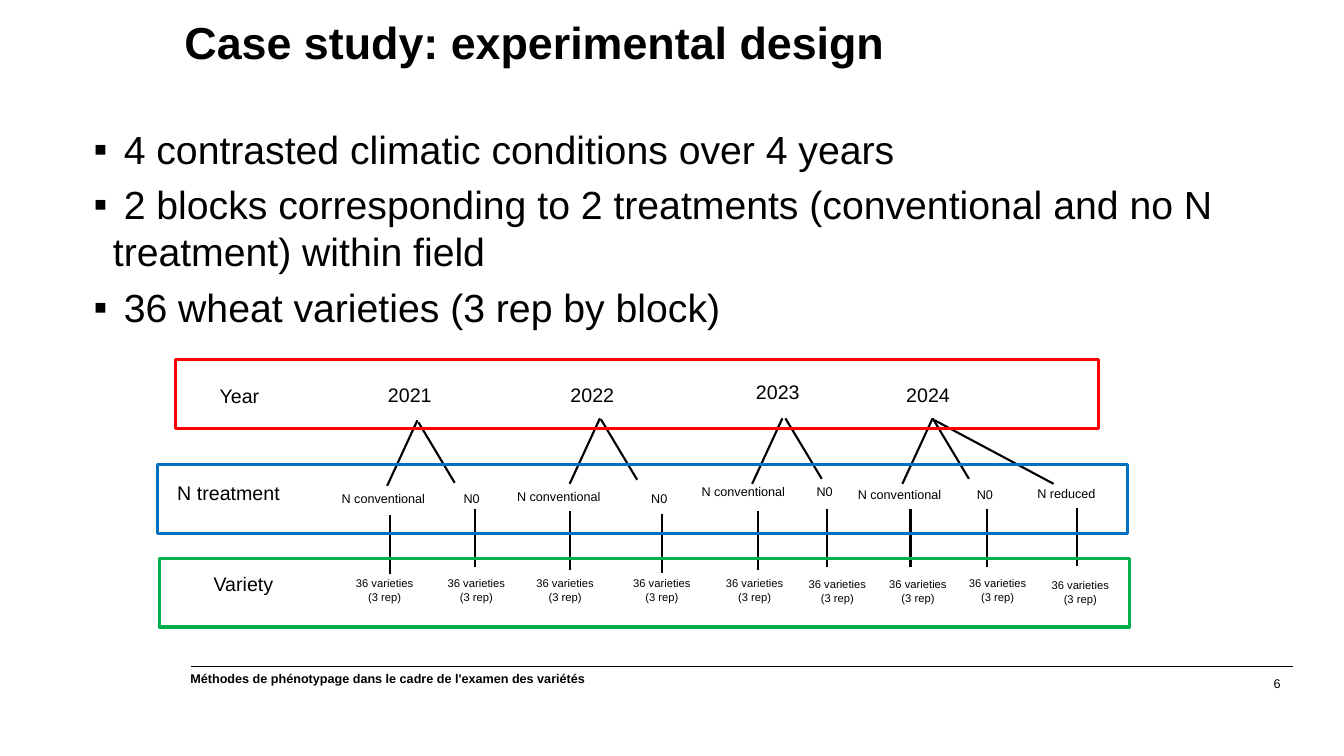
from dataclasses import dataclass

from lxml import etree
from pptx import Presentation
from pptx.dml.color import RGBColor
from pptx.enum.shapes import MSO_CONNECTOR, MSO_SHAPE
from pptx.enum.text import PP_ALIGN
from pptx.oxml.ns import qn
from pptx.util import Inches, Pt


@dataclass(frozen=True)
class Theme:
    font: str = "Arial"
    ink: str = "000000"
    year: str = "FF0000"
    treatment: str = "0070C0"
    variety: str = "00B050"
    title: int = 32
    body: int = 28
    level: int = 14
    label: int = 9
    leaf: int = 8


THEME = Theme()
BULLETS = [
    " 4 contrasted climatic conditions over 4 years",
    " 2 blocks corresponding to 2 treatments (conventional and no N treatment) within field",
    " 36 wheat varieties (3 rep by block)",
]

# All diagram positions are inches from the diagram's top left corner.
# Level: caption, caption box, frame box, frame colour
LEVELS = [
    ("Year", (0.58, 0.26, 0.83, 0.34), (0.24, 0.07, 9.16, 0.68), THEME.year),
    ("N treatment", (0.16, 1.22, 1.46, 0.34), (0.06, 1.11, 9.62, 0.68), THEME.treatment),
    ("Variety", (0.52, 2.12, 1.07, 0.34), (0.08, 2.04, 9.62, 0.68), THEME.variety),
]
# Treatment: label width, run of its branch
TREATMENTS = {
    "N conventional": (1.24, (-0.3, 0.65)),
    "N0": (0.42, (0.36, 0.6)),
    "N reduced": (1.15, (1.18, 0.63)),
}
STEM_LENGTH = 0.58
# Year, its position, then per treatment: label, branch start, stem top, varieties
YEARS = [
    ("2021", (2.25, 0.25), [
        ("N conventional", (1.79, 1.32), (2.64, 0.67), (2.37, 1.61), (1.85, 2.17)),
        ("N0", (3.0, 1.32), (2.65, 0.69), (3.21, 1.55), (2.76, 2.17))]),
    ("2022", (4.06, 0.25), [
        ("N conventional", (3.53, 1.3), (4.45, 0.65), (4.15, 1.57), (3.64, 2.17)),
        ("N0", (4.86, 1.32), (4.46, 0.66), (5.07, 1.6), (4.6, 2.17))]),
    ("2023", (5.9, 0.22), [
        ("N conventional", (5.36, 1.25), (6.26, 0.65), (6.02, 1.57), (5.52, 2.17)),
        ("N0", (6.5, 1.25), (6.29, 0.65), (6.7, 1.55), (6.34, 2.18))]),
    ("2024", (7.39, 0.25), [
        ("N conventional", (6.91, 1.28), (7.75, 0.65), (7.53, 1.55), (7.14, 2.18)),
        ("N0", (8.09, 1.28), (7.75, 0.65), (8.29, 1.55), (7.93, 2.17)),
        ("N reduced", (8.69, 1.27), (7.77, 0.67), (9.18, 1.54), (8.75, 2.19))]),
]


def add_text(slide, box, lines, size, bold=False, inset=True, bullet=None, **formats):
    """Write one paragraph per line; formats are paragraph attributes."""
    frame = slide.shapes.add_textbox(*map(Inches, box)).text_frame
    frame.word_wrap = True
    if not inset:
        for side in ("left", "top", "right", "bottom"):
            setattr(frame, f"margin_{side}", 0)
    for index, line in enumerate(lines):
        paragraph = frame.add_paragraph() if index else frame.paragraphs[0]
        paragraph.text = line
        for name, value in formats.items():
            if index or name != "space_before":
                setattr(paragraph, name, value)
        if bullet:
            add_bullet(paragraph, bullet)
        for name, value in {"name": THEME.font, "size": Pt(size), "bold": bold}.items():
            setattr(paragraph.font, name, value)
        paragraph.font.color.rgb = RGBColor.from_string(THEME.ink)


def add_bullet(paragraph, mark):
    properties = paragraph._p.get_or_add_pPr()
    properties.set("marL", str(Inches(0.19)))
    properties.set("indent", str(-Inches(0.19)))
    etree.SubElement(properties, qn("a:buFont")).set("typeface", THEME.font)
    etree.SubElement(properties, qn("a:buChar")).set("char", mark)


def add_line(slide, start, end, width=1.5):
    line = slide.shapes.add_connector(MSO_CONNECTOR.STRAIGHT, *map(Inches, (*start, *end)))
    line.line.color.rgb = RGBColor.from_string(THEME.ink)
    line.line.width = Pt(width)
    etree.SubElement(line._element.spPr, qn("a:effectLst"))


def add_frame(slide, box, color):
    frame = slide.shapes.add_shape(MSO_SHAPE.RECTANGLE, *map(Inches, box))
    frame.shadow.inherit = False
    frame.fill.background()
    frame.line.color.rgb = RGBColor.from_string(color)
    frame.line.width = Pt(2.25)


def add_footer(slide, left, top, width):
    add_line(slide, (left + width, top), (left, top), 0.75)
    add_text(slide, (left - 0.1, top, 6.43, 0.25),
             ["Méthodes de phénotypage dans le cadre de l'examen des variétés"],
             THEME.label, bold=True)
    add_text(slide, (left + width - 3.43, top + 0.09, 3.31, 0.16), ["6"], THEME.label,
             inset=False, alignment=PP_ALIGN.RIGHT, line_spacing=1.05)


def add_design_diagram(slide, left, top):
    def at(point):
        return left + point[0], top + point[1]

    for year, year_at, treatments in YEARS:
        add_text(slide, (*at(year_at), 1.16, 0.34), [year], THEME.level)
        for name, label_at, fork, stem, varieties_at in treatments:
            width, (across, down) = TREATMENTS[name]
            add_line(slide, at(fork), at((fork[0] + across, fork[1] + down)))
            add_text(slide, (*at(label_at), width, 0.25), [name], THEME.label)
            add_line(slide, at(stem), at((stem[0], stem[1] + STEM_LENGTH)))
            add_text(slide, (*at(varieties_at), 0.93, 0.37), ["36 varieties", "(3 rep)"],
                     THEME.leaf, alignment=PP_ALIGN.CENTER)
    for caption, caption_box, frame_box, color in LEVELS:
        add_text(slide, (*at(caption_box), *caption_box[2:]), [caption], THEME.level)
        add_frame(slide, (*at(frame_box), *frame_box[2:]), color)


def main():
    deck = Presentation()
    deck.slide_width, deck.slide_height = Inches(13.33), Inches(7.5)
    slide = deck.slides.add_slide(deck.slide_layouts[6])
    add_footer(slide, 1.89, 6.61, 10.93)
    add_text(slide, (0.93, 1.24, 11.5, 2.35), BULLETS, THEME.body, inset=False,
             bullet="▪", space_before=Pt(6))
    add_text(slide, (1.83, 0.21, 11.5, 1.45), ["Case study: experimental design"],
             THEME.title, bold=True, inset=False, line_spacing=0.9)
    add_design_diagram(slide, 1.5, 3.5)
    deck.save("out.pptx")


if __name__ == "__main__":
    main()
